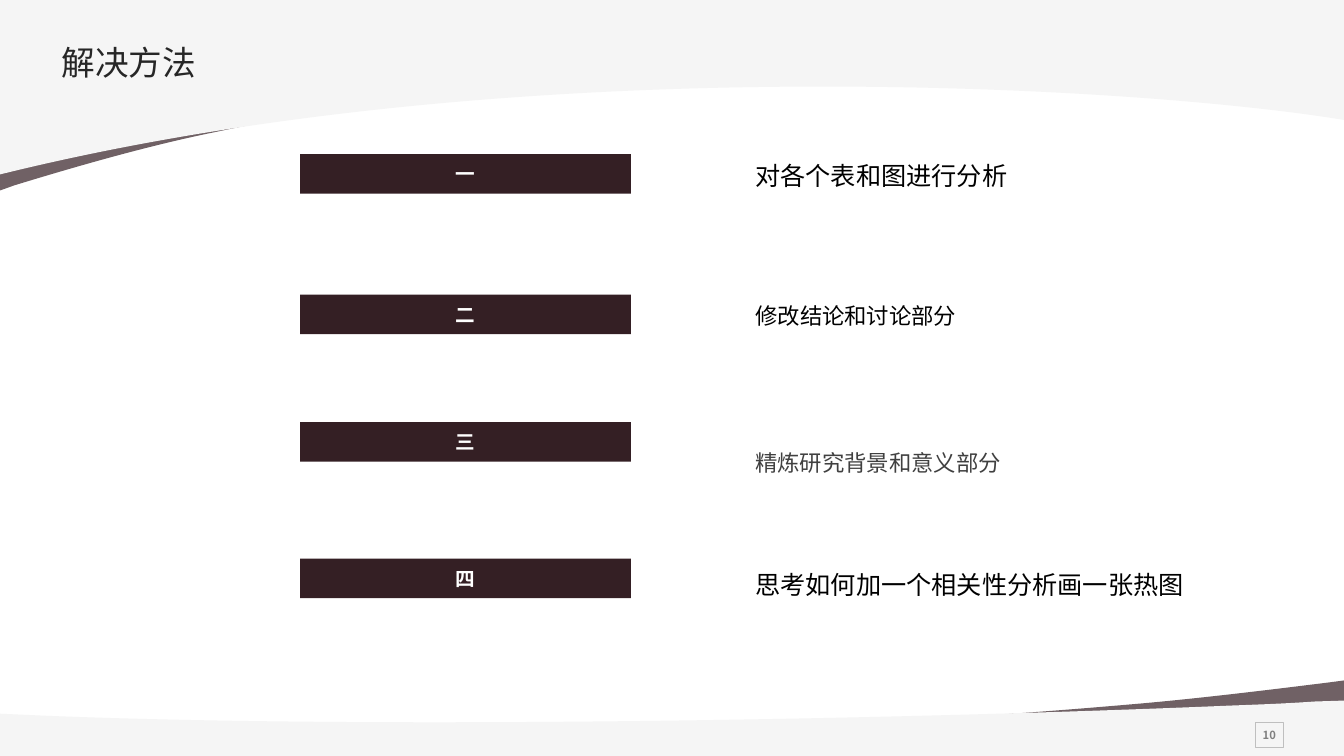
from lxml.etree import SubElement
from pptx import Presentation
from pptx.dml.color import RGBColor
from pptx.enum.shapes import MSO_SHAPE as Preset
from pptx.enum.text import MSO_ANCHOR as Anchor, PP_ALIGN as Align
from pptx.oxml.ns import qn
from pptx.util import Pt

PLUM = RGBColor(0x34, 0x1F, 0x24)
MIST = RGBColor(0xF5, 0xF5, 0xF5)
WHITE = RGBColor(0xFF, 0xFF, 0xFF)
BLACK = RGBColor(0x00, 0x00, 0x00)
TITLE_GRAY = RGBColor(0x26, 0x26, 0x26)
BODY_GRAY = RGBColor(0x40, 0x40, 0x40)
NUMBER_GRAY = RGBColor(0x80, 0x80, 0x80)
FRAME_GRAY = RGBColor(0xBF, 0xBF, 0xBF)
NOTO = "Noto Sans CJK SC"
CALIBRI = "Calibri"

BANDS = [
    ([(0, 136.1), (0, 15.8), (960.3, 15.8), (960.3, 65.5), (959.8, 65.5),
      (743, 4.3, 370, 48.2, 154.1, 94.3),
      (110.9, 103, 61.9, 116.6, 10.1, 132.5), (0, 136.1)], PLUM, 70),
    ([(0, 0), (960, 0), (960, 85.7),
      (820.8, 62.6, 372.2, 32.4, 0, 124.6), (0, 0)], MIST, 100),
    ([(960.3, 486), (960.3, 535.7), (0, 535.7), (0, 514.8), (0.7, 515.5),
      (216.7, 540, 590.4, 522, 805.7, 503.3),
      (848.9, 499.7, 897.8, 493.9, 949.7, 487.4), (960.3, 486)], PLUM, 70),
    ([(960.3, 500.4), (960.3, 516.2), (960.3, 517.7), (960.3, 540), (0, 540),
      (0, 517.7), (0, 516.2), (0, 509.8), (31.7, 511.2),
      (282.2, 521.3, 655.2, 513.4, 878.4, 504),
      (897.1, 503.3, 918, 502.6, 938.9, 501.1)], MIST, 100),
]

STEPS = [
    ("一", 110.1, "对各个表和图进行分析", 110.9, 319.7, 18, CALIBRI, BLACK, 1),
    ("二", 210.5, "修改结论和讨论部分", 202.7, 209.5, 16, CALIBRI, BLACK, 1.5),
    ("三", 301.6, "精炼研究背景和意义部分", 307.4, 290.9, 16, NOTO, BODY_GRAY, 1.5),
    ("四", 399, "思考如何加一个相关性分析画一张热图", 403.2, 360, 18, CALIBRI, BLACK, 1),
]


def add_band(slide, outline, color, opacity):
    corners = [(Pt(segment[-2]), Pt(segment[-1])) for segment in outline]
    builder = slide.shapes.build_freeform(*corners[0])
    builder.add_line_segments(corners[1:])
    band = builder.convert_to_shape()
    bend(band, outline)
    band.shadow.inherit = False
    band.line.fill.background()
    band.fill.solid()
    band.fill.fore_color.rgb = color
    if opacity < 100:
        tint = band.fill._xPr.find(qn("a:solidFill"))[0]
        SubElement(tint, qn("a:alpha"), val=str(opacity * 1000))


def bend(band, outline):
    contour = next(band._element.iter(qn("a:path")))
    for segment, straight in zip(outline, list(contour)):
        if len(segment) == 6:
            curve = SubElement(contour, qn("a:cubicBezTo"))
            for x, y in zip(segment[::2], segment[1::2]):
                SubElement(curve, qn("a:pt"), x=str(Pt(x) - band.left), y=str(Pt(y) - band.top))
            contour.replace(straight, curve)


def write(shape, text, size, font, color, bold=False, align=Align.LEFT, spacing=1,
          insets=(7.2, 3.6, 7.2, 3.6), anchor=Anchor.TOP, wrap=True):
    frame = shape.text_frame
    frame.word_wrap = wrap
    frame.vertical_anchor = anchor
    frame.margin_left, frame.margin_top, frame.margin_right, frame.margin_bottom = map(Pt, insets)
    paragraph = frame.paragraphs[0]
    paragraph.alignment = align
    paragraph.line_spacing = spacing
    run = paragraph.add_run()
    run.text = text
    run.font.size = Pt(size)
    run.font.bold = bold
    run.font.color.rgb = color
    run.font.name = font
    SubElement(run.font._element, qn("a:ea"), typeface=NOTO)


def add_label(slide, left, top, width, height, text, size, font, color, **style):
    label = slide.shapes.add_textbox(Pt(left), Pt(top), Pt(width), Pt(height))
    write(label, text, size, font, color, **style)


def add_box(slide, left, top, width, height, fill=None, outline=None):
    box = slide.shapes.add_shape(Preset.RECTANGLE, Pt(left), Pt(top), Pt(width), Pt(height))
    box.shadow.inherit = False
    if fill is None:
        box.fill.background()
    else:
        box.fill.solid()
        box.fill.fore_color.rgb = fill
    if outline is None:
        box.line.fill.background()
    else:
        box.line.color.rgb = outline
        box.line.width = Pt(0.75)
    return box


def add_step(slide, numeral, bar_top, task, task_top, task_width, size, font, color, spacing):
    bar = add_box(slide, 214.4, bar_top, 236.2, 28.2, fill=PLUM)
    write(bar, numeral, 14, NOTO, WHITE, bold=True, align=Align.CENTER,
          insets=(7.2, 5.76, 7.2, 5.76))
    add_label(slide, 532.5, task_top, task_width, 29 if spacing == 1 else 36,
              task, size, font, color, spacing=spacing)


def main():
    deck = Presentation()
    deck.slide_width, deck.slide_height = Pt(960), Pt(540)
    slide = deck.slides.add_slide(deck.slide_layouts[6])
    for band in BANDS:
        add_band(slide, *band)
    page_number = add_box(slide, 896.6, 516, 20.3, 18, outline=FRAME_GRAY)
    write(page_number, "10", 8, NOTO, NUMBER_GRAY, bold=True, align=Align.CENTER,
          insets=(5.76,) * 4, anchor=Anchor.MIDDLE, wrap=False)
    add_label(slide, 38.2, 27.6, 864, 41.8, "解决方法", 24, NOTO, TITLE_GRAY,
              spacing=0.9, insets=(5.76, 5.76, 0, 5.76))
    for step in STEPS:
        add_step(slide, *step)
    deck.save("out.pptx")


if __name__ == "__main__":
    main()
